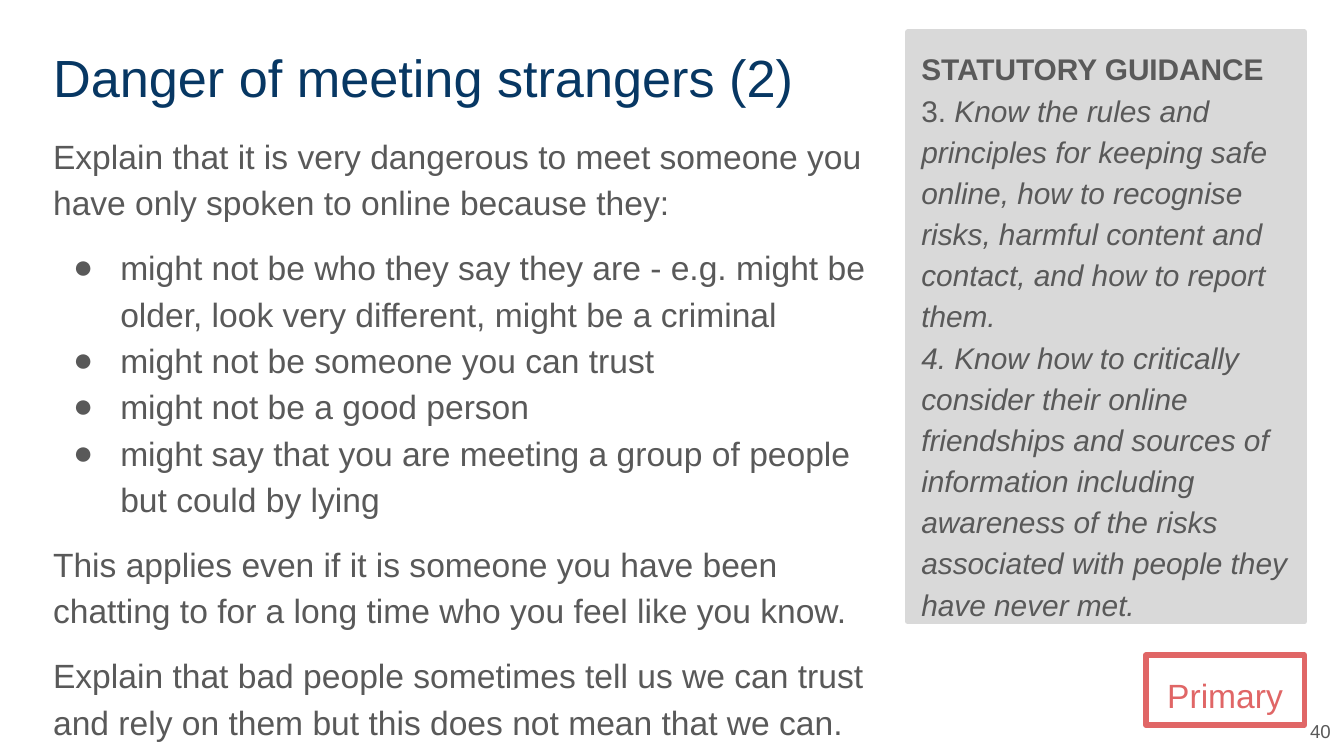
from dataclasses import dataclass

from lxml.etree import SubElement
from pptx import Presentation
from pptx.dml.color import RGBColor
from pptx.enum.shapes import MSO_SHAPE
from pptx.enum.text import MSO_ANCHOR, MSO_AUTO_SIZE, PP_ALIGN
from pptx.oxml.ns import qn
from pptx.util import Pt

EMU_PER_PX = 4572


@dataclass(frozen=True)
class Theme:
    font: str = "Arial"
    navy: str = "073763"
    gray: str = "595959"
    panel: str = "D9D9D9"
    coral: str = "E06666"
    title_size: int = 28
    body_size: int = 18
    guidance_size: int = 16
    number_size: int = 10
    border: int = 3
    spacing: float = 1.15
    gap: int = 10


def px(length):
    return length * EMU_PER_PX


class SlideBuilder:
    def __init__(self, deck, theme):
        self.theme = theme
        self.page = deck.slides.add_slide(deck.slide_layouts[3])

    def place(self, box, left, top, width, height):
        box.left, box.top, box.width, box.height = map(px, (left, top, width, height))

    def frame(self, box, anchor=MSO_ANCHOR.TOP):
        frame = box.text_frame
        frame.word_wrap = True
        frame.auto_size = MSO_AUTO_SIZE.NONE
        frame.vertical_anchor = anchor
        frame.margin_left = frame.margin_right = px(20)
        frame.margin_top = frame.margin_bottom = px(20)
        return frame

    def style(self, para, size, color, align=PP_ALIGN.LEFT, spacing=1.0, before=0, bullet=False):
        properties = para._p.get_or_add_pPr()
        properties.set("marL", str(px(100) if bullet else 0))
        properties.set("indent", str(px(-70) if bullet else 0))
        if bullet:
            bullet_color = SubElement(properties, qn("a:buClr"))
            SubElement(bullet_color, qn("a:srgbClr"), val=color)
            SubElement(properties, qn("a:buFont"), typeface=self.theme.font)
            SubElement(properties, qn("a:buChar"), char="●")
        else:
            SubElement(properties, qn("a:buNone"))
        para.alignment = align
        para.line_spacing = spacing
        para.space_before = Pt(before)
        para.font.name = self.theme.font
        para.font.size = Pt(size)
        para.font.color.rgb = RGBColor.from_string(color)

    def outline(self, box, color):
        box.line.color.rgb = RGBColor.from_string(color)
        box.line.width = Pt(self.theme.border)

    def title(self, text, *area):
        box = self.page.shapes.title
        self.place(box, *area)
        para = self.frame(box).paragraphs[0]
        para.text = text
        self.style(para, self.theme.title_size, self.theme.navy)

    def body(self, items, *area):
        box = self.page.placeholders[1]
        self.place(box, *area)
        frame = self.frame(box)
        for index, (text, bullet, before) in enumerate(items):
            para = frame.add_paragraph() if index else frame.paragraphs[0]
            para.text = text
            self.style(para, self.theme.body_size, self.theme.gray,
                       spacing=self.theme.spacing, before=before, bullet=bullet)

    def guidance(self, lines, *area):
        box = self.page.placeholders[2]
        self.place(box, *area)
        box.fill.solid()
        box.fill.fore_color.rgb = RGBColor.from_string(self.theme.panel)
        self.outline(box, self.theme.panel)
        para = self.frame(box).paragraphs[0]
        self.style(para, self.theme.guidance_size, self.theme.gray, spacing=self.theme.spacing)
        for index, spans in enumerate(lines):
            if index:
                para.add_line_break()
            for text, bold, italic in spans:
                span = para.add_run()
                span.text = text
                span.font.bold = bold
                span.font.italic = italic
        for line_break in para._p.findall(qn("a:br")):
            SubElement(line_break, qn("a:rPr"), sz=str(self.theme.guidance_size * 100))

    def tag(self, text, *area):
        box = self.page.shapes.add_shape(MSO_SHAPE.RECTANGLE, *map(px, area))
        box.shadow.inherit = False
        box.fill.background()
        self.outline(box, self.theme.coral)
        para = self.frame(box).paragraphs[0]
        para.text = text
        self.style(para, self.theme.body_size, self.theme.coral,
                   align=PP_ALIGN.CENTER, spacing=self.theme.spacing)

    def number(self, text, *area):
        box = self.page.shapes.add_textbox(*map(px, area))
        para = self.frame(box, MSO_ANCHOR.MIDDLE).paragraphs[0]
        para.text = text
        self.style(para, self.theme.number_size, self.theme.gray, align=PP_ALIGN.RIGHT)


def main():
    deck = Presentation()
    deck.slide_width, deck.slide_height = px(2000), px(1125)
    theme = Theme()
    slide = SlideBuilder(deck, theme)
    slide.title("Danger of meeting strangers (2)", 59, 48, 1282, 126)
    slide.body([
        ("Explain that it is very dangerous to meet someone you have only spoken to online "
         "because they:", False, 0),
        ("might not be who they say they are - e.g. might be older, look very different, "
         "might be a criminal", True, theme.gap),
        ("might not be someone you can trust", True, 0),
        ("might not be a good person", True, 0),
        ("might say that you are meeting a group of people but could by lying", True, 0),
        ("This applies even if it is someone you have been chatting to for a long time who "
         "you feel like you know.", False, theme.gap),
        ("Explain that bad people sometimes tell us we can trust and rely on them but this "
         "does not mean that we can.", False, theme.gap),
    ], 59, 173, 1282, 802)
    slide.number("40", 1922, 1052, 78, 73)
    slide.tag("Primary", 1705, 975, 236, 104)
    slide.guidance([
        [("STATUTORY GUIDANCE", True, False)],
        [("3. ", False, False),
         ("Know the rules and principles for keeping safe online, how to recognise risks, "
          "harmful content and contact, and how to report them. ", False, True)],
        [("4. Know how to critically consider their online friendships and sources of "
          "information including awareness of the risks associated with people they have "
          "never met.", False, True)],
    ], 1351, 48, 590, 877)
    deck.save("out.pptx")


if __name__ == "__main__":
    main()
